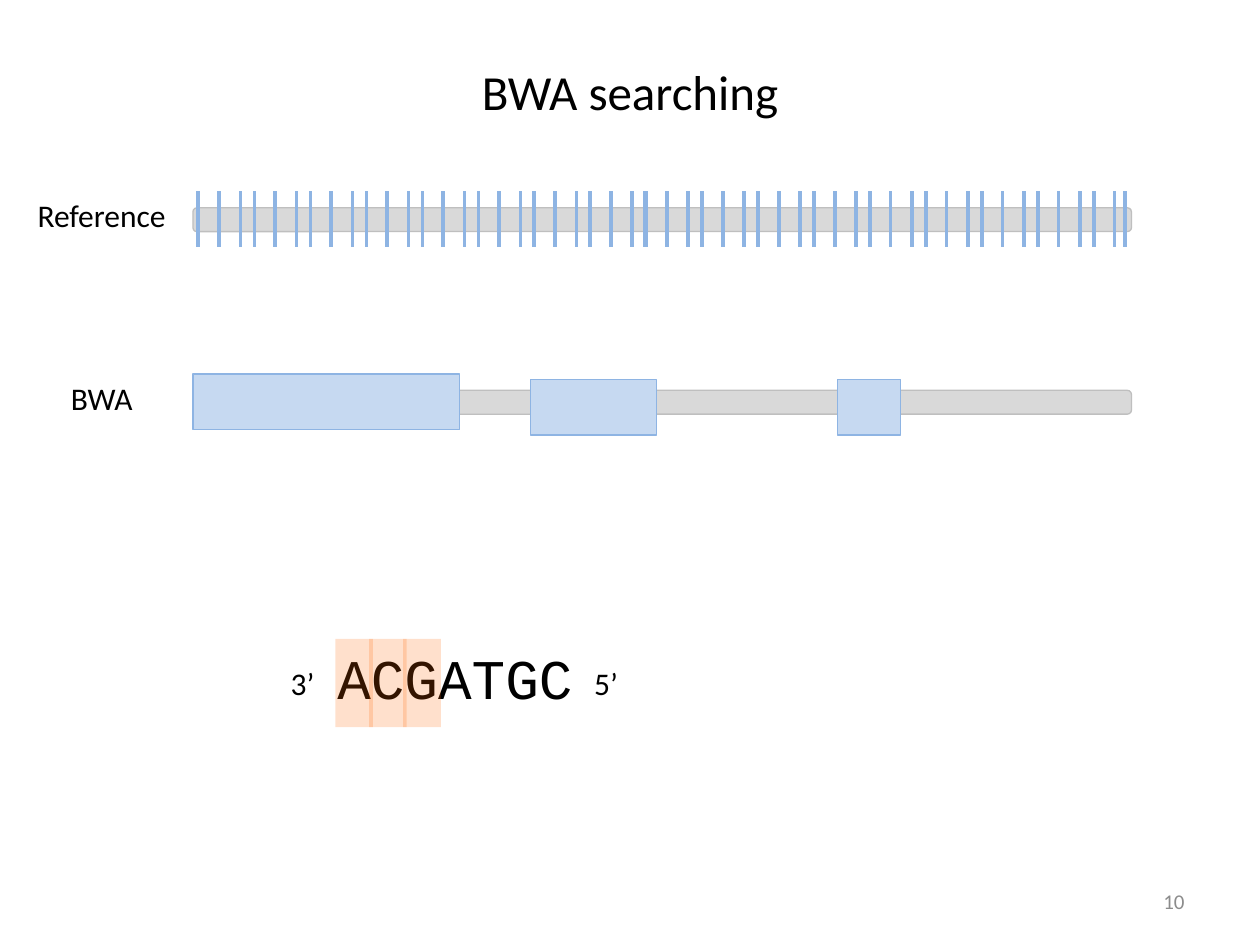
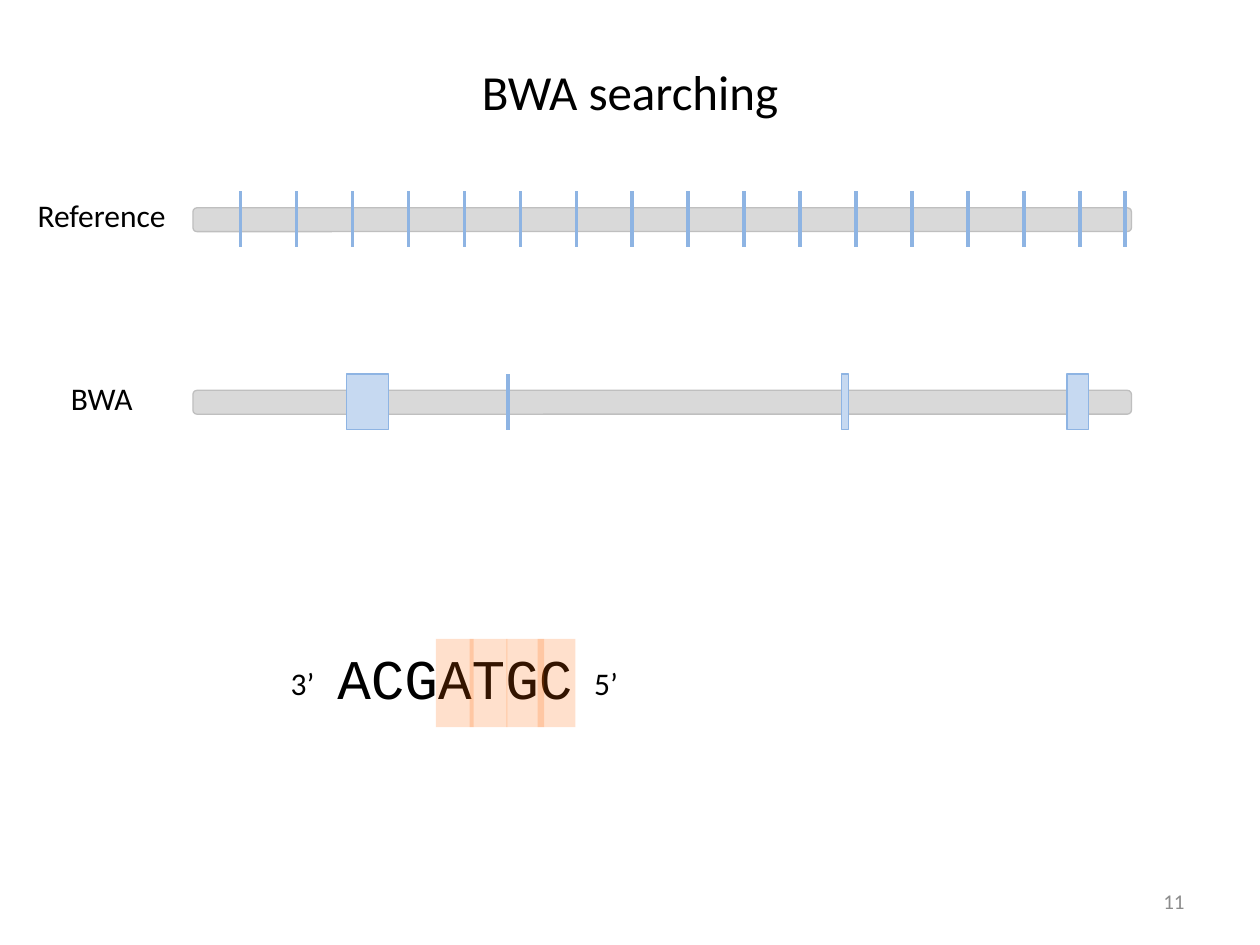
from lxml import etree
from pptx import Presentation
from pptx.dml.color import RGBColor
from pptx.enum.shapes import MSO_CONNECTOR, MSO_SHAPE
from pptx.enum.text import MSO_ANCHOR, PP_ALIGN
from pptx.oxml.ns import qn
from pptx.util import Cm, Pt

# Shared style
BLACK = RGBColor(0x00, 0x00, 0x00)
PAGE_GRAY = RGBColor(0x8C, 0x8C, 0x8C)
BAR_FILL = RGBColor(0xD9, 0xD9, 0xD9)
BAR_LINE = RGBColor(0xBF, 0xBF, 0xBF)
BLOCK_FILL = RGBColor(0xC6, 0xD9, 0xF1)
BLOCK_LINE = RGBColor(0x8E, 0xB4, 0xE3)
HIGHLIGHT = RGBColor(0xFF, 0x66, 0x00)
SANS, MONO = "Calibri", "Courier New"
RECTANGLE = MSO_SHAPE.RECTANGLE
ROUNDED = MSO_SHAPE.ROUNDED_RECTANGLE
STRAIGHT = MSO_CONNECTOR.STRAIGHT
LEFT, CENTER, RIGHT = PP_ALIGN.LEFT, PP_ALIGN.CENTER, PP_ALIGN.RIGHT
TOP, MIDDLE = MSO_ANCHOR.TOP, MSO_ANCHOR.MIDDLE
TITLE_ONLY = 5

# Regions in cm: left, top, width, height
TITLE_BOX = (1.27, 0.76, 22.86, 2.16)
REFERENCE_BOX = (3.89, 4.19, 18.92, 0.48)
BWA_BOX = (3.89, 7.87, 18.92, 0.48)
READ_BOX = (6.55, 12.85, 6.99, 1.63)
PAGE_BOX = (18.21, 17.65, 5.92, 1.02)

MARK_RISE, MARK_HEIGHT = 0.33, 1.12  # marks start above their bar
READ = "ACGATGC"
LETTER_OFFSETS = (0.21, 0.89, 1.58, 2.24, 2.92, 3.66, 4.29)
TICK_STEP = (17.88 - 0.96) / 15


def tick_row(first, count):
    return [first + TICK_STEP * index for index in range(count)]


# Hits on the reference, measured from the left end of the bar
FULL_MATCHES = tick_row(0.96, 16) + [18.79]
ALL_MATCHES = ([0.1, 9.11] + tick_row(0.53, 17) + FULL_MATCHES
               + tick_row(1.24, 16))


def write(frame, text, size, font=SANS, color=BLACK, align=LEFT, anchor=TOP):
    frame.vertical_anchor = anchor
    paragraph = frame.paragraphs[0]
    paragraph.alignment = align
    run = paragraph.add_run()
    run.text = text
    run.font.size = Pt(size)
    run.font.name = font
    run.font.color.rgb = color


def add_text(slide, box, text, size, wrap=True, **style):
    frame = slide.shapes.add_textbox(*map(Cm, box)).text_frame
    frame.word_wrap = wrap
    write(frame, text, size, **style)


def add_box(slide, kind, box, fill, line=None):
    shape = slide.shapes.add_shape(kind, *map(Cm, box))
    shape.shadow.inherit = False
    shape.fill.solid()
    shape.fill.fore_color.rgb = fill
    if line is None:
        shape.line.fill.background()
    else:
        shape.line.color.rgb = line
        shape.line.width = Pt(0.75)
    return shape


def add_tick(slide, x, top):
    tick = slide.shapes.add_connector(
        STRAIGHT, Cm(x), Cm(top), Cm(x), Cm(top + MARK_HEIGHT))
    tick.line.color.rgb = BLOCK_LINE
    tick.line.width = Pt(2)
    etree.SubElement(tick.element.spPr, qn("a:effectLst"))


def add_title(slide, box, text):
    title = slide.shapes.title
    title.left, title.top, title.width, title.height = map(Cm, box)
    write(title.text_frame, text, 28, align=CENTER, anchor=MIDDLE)


def add_track(slide, box, label, blocks=(), ticks=()):
    """Labelled bar; blocks are (offset, width, rise above the bar)."""
    left, top, _, _ = box
    add_box(slide, ROUNDED, box, BAR_FILL, BAR_LINE)
    for offset, width, rise in blocks:
        add_box(slide, RECTANGLE, (left + offset, top - rise, width, MARK_HEIGHT),
                BLOCK_FILL, BLOCK_LINE)
    for offset in ticks:
        add_tick(slide, left + offset, top - MARK_RISE)
    add_text(slide, (left - 3.43, top - 0.36, 3.18, 1.02), label, 18,
             wrap=False, align=CENTER)


def add_read(slide, box, matched):
    """Read sequence with its end labels and the matched letters tinted."""
    left, top, _, _ = box
    add_text(slide, box, READ, 32, font=MONO)
    for offset in LETTER_OFFSETS[matched]:
        tint = add_box(slide, RECTANGLE, (left + offset, top + 0.03, 0.76, 1.78),
                       HIGHLIGHT)
        color = tint.element.spPr.find(".//" + qn("a:srgbClr"))
        etree.SubElement(color, qn("a:alpha"), val="20000")
    for label, offset in (("3’", -0.94), ("5’", 5.18)):
        add_text(slide, (left + offset, top + 0.41, 0.99, 1.02), label, 18,
                 wrap=False)


def add_search_slide(presentation, number, reference_ticks, blocks, bwa_ticks,
                     matched):
    slide = presentation.slides.add_slide(presentation.slide_layouts[TITLE_ONLY])
    add_title(slide, TITLE_BOX, "BWA searching")
    add_track(slide, REFERENCE_BOX, "Reference", ticks=reference_ticks)
    add_track(slide, BWA_BOX, "BWA", blocks, bwa_ticks)
    add_read(slide, READ_BOX, matched)
    add_text(slide, PAGE_BOX, str(number), 12, color=PAGE_GRAY, align=RIGHT,
             anchor=MIDDLE)


def main():
    presentation = Presentation()
    presentation.slide_width, presentation.slide_height = Cm(25.4), Cm(19.05)
    # First three letters
    add_search_slide(
        presentation, 10, ALL_MATCHES,
        blocks=[(0, 5.38, MARK_RISE), (6.8, 2.54, 0.22), (13, 1.27, 0.22)],
        bwa_ticks=[], matched=slice(0, 3))
    # Remaining four letters
    add_search_slide(
        presentation, 11, FULL_MATCHES,
        blocks=[(3.1, 0.84, MARK_RISE), (17.62, 0.43, MARK_RISE),
                (13.08, 0.13, MARK_RISE)],
        bwa_ticks=[6.35], matched=slice(3, 7))
    presentation.save("out.pptx")


if __name__ == "__main__":
    main()
